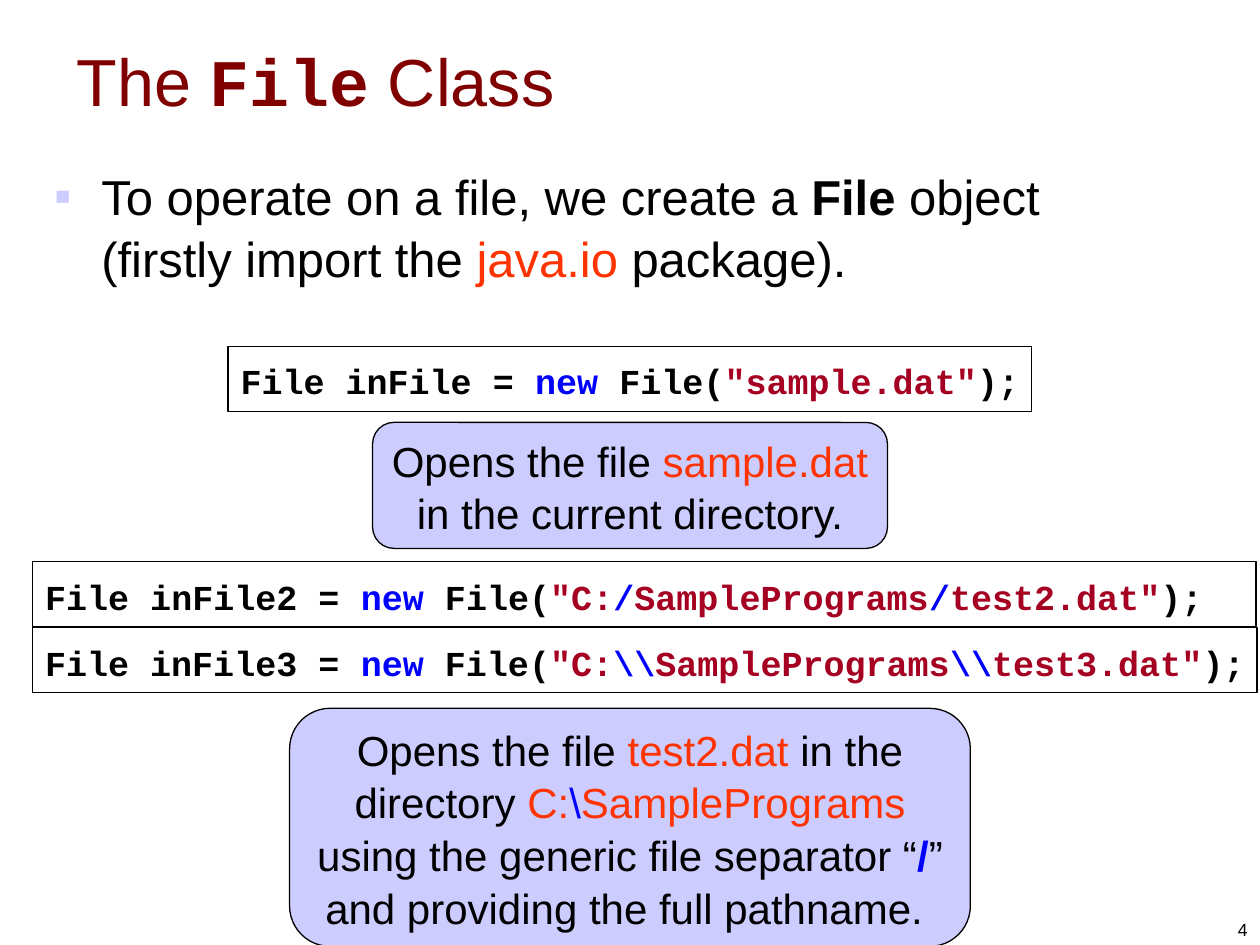
from lxml import etree
from pptx import Presentation, util as u
from pptx.dml.color import RGBColor
from pptx.enum import shapes, text
from pptx.oxml.ns import qn

Pt = u.Pt
BLACK, BLUE, ORANGE, CRIMSON = "000000", "0000FF", "FF3300", "A50021"
MAROON, LAVENDER = "800000", "CCCCFF"


def color(value):
    return RGBColor.from_string(value)


def fill_text(shape, runs, size, font="Arial", base=BLACK, bold=None, align=text.PP_ALIGN.LEFT,
              anchor=text.MSO_ANCHOR.TOP, inset=3.6, spacing=1.05, wrap=True, bullet=None):
    """Runs are plain strings or (text, font settings) pairs; a newline breaks the line."""
    frame = shape.text_frame
    frame.word_wrap = wrap
    frame.vertical_anchor = anchor
    frame.margin_left = frame.margin_right = Pt(7.2)
    frame.margin_top = frame.margin_bottom = Pt(inset)
    paragraph = frame.paragraphs[0]
    paragraph.alignment = align
    paragraph.line_spacing = spacing
    if bullet:
        properties = paragraph._p.get_or_add_pPr()
        properties.set("marL", str(Pt(27)))
        properties.set("indent", str(-Pt(27)))
        bullet_color = etree.SubElement(properties, qn("a:buClr"))
        etree.SubElement(bullet_color, qn("a:srgbClr"), val=LAVENDER)
        etree.SubElement(properties, qn("a:buFont"), typeface="Arial")
        etree.SubElement(properties, qn("a:buChar"), char=bullet)
    paragraph.font.size = Pt(size)
    paragraph.font.name = font
    paragraph.font.bold = bold
    paragraph.font.color.rgb = color(base)
    for item in runs:
        words, settings = (item, {}) if isinstance(item, str) else item
        for number, line in enumerate(words.split("\n")):
            if number:
                paragraph.add_line_break()
            run = paragraph.add_run()
            run.text = line
            if "color" in settings:
                run.font.color.rgb = color(settings["color"])
            if "bold" in settings:
                run.font.bold = settings["bold"]
            if "font" in settings:
                run.font.name = settings["font"]


presentation = Presentation()
presentation.slide_width, presentation.slide_height = Pt(720), Pt(540)
slide = presentation.slides.add_slide(presentation.slide_layouts[6])

blue, orange, crimson = ({"color": value} for value in (BLUE, ORANGE, CRIMSON))

# Title
title = slide.shapes.add_textbox(Pt(36.7), Pt(13), Pt(648), Pt(65))
fill_text(title, ["The ", ("File", {"font": "Courier New", "bold": True}), " Class"],
          38, base=MAROON, anchor=text.MSO_ANCHOR.MIDDLE, spacing=1.0)

# Introduction
introduction = slide.shapes.add_textbox(Pt(23.8), Pt(90), Pt(672), Pt(90))
fill_text(introduction,
          ["To operate on a file, we create a ", ("File", {"bold": True}),
           " object \n(firstly import the ", ("java.io", orange), " package)."],
          28, bullet="▪")

# Code boxes: left, top, width, wrap, variable, parts of the file name
code_boxes = [
    (130.4, 198, 459.2, False, "inFile", [('"sample.dat"', crimson)]),
    (18.7, 321, 699.1, True, "inFile2",
     [('"C:', crimson), ("/", blue), ("SamplePrograms", crimson), ("/", blue),
      ('test2.dat"', crimson)]),
    (18.7, 358.6, 699.6, False, "inFile3",
     [('"C:', crimson), ("\\\\", blue), ("SamplePrograms", crimson), ("\\\\", blue),
      ('test3.dat"', crimson)]),
]
for left, top, width, wrap, variable, file_name in code_boxes:
    box = slide.shapes.add_shape(shapes.MSO_SHAPE.RECTANGLE, Pt(left), Pt(top), Pt(width), Pt(37))
    box.shadow.inherit = False
    box.fill.background()
    box.line.color.rgb = color(BLACK)
    box.line.width = Pt(0.75)
    fill_text(box, [f"File {variable} = ", ("new", blue), " File(", *file_name, ");"],
              20, font="Courier New", bold=True, inset=6.5, wrap=wrap)

# Explanations: left, top, width, height, runs
explanations = [
    (212.9, 241.4, 294.2, 72,
     ["Opens the file ", ("sample.dat", orange), " in the current directory."]),
    (165.5, 404.8, 389, 136,
     ["Opens the file ", ("test2.dat", orange), " in the directory ", ("C:", orange),
      ("\\", blue), ("SamplePrograms", orange), " using the generic file separator “",
      ("/", {"color": BLUE, "bold": True}), "” and providing the full pathname. "]),
]
for left, top, width, height, runs in explanations:
    box = slide.shapes.add_shape(shapes.MSO_SHAPE.ROUNDED_RECTANGLE,
                                 Pt(left), Pt(top), Pt(width), Pt(height))
    box.shadow.inherit = False
    box.adjustments[0] = 0.17
    box.fill.solid()
    box.fill.fore_color.rgb = color(LAVENDER)
    box.line.color.rgb = color(BLACK)
    box.line.width = Pt(0.75)
    fill_text(box, runs, 24, align=text.PP_ALIGN.CENTER, anchor=text.MSO_ANCHOR.MIDDLE)

# Slide number
slide_number = slide.shapes.add_textbox(Pt(552), Pt(504.7), Pt(168), Pt(36))
fill_text(slide_number, ["4"], 10, align=text.PP_ALIGN.RIGHT,
          anchor=text.MSO_ANCHOR.BOTTOM, spacing=1.0)

presentation.save("out.pptx")
